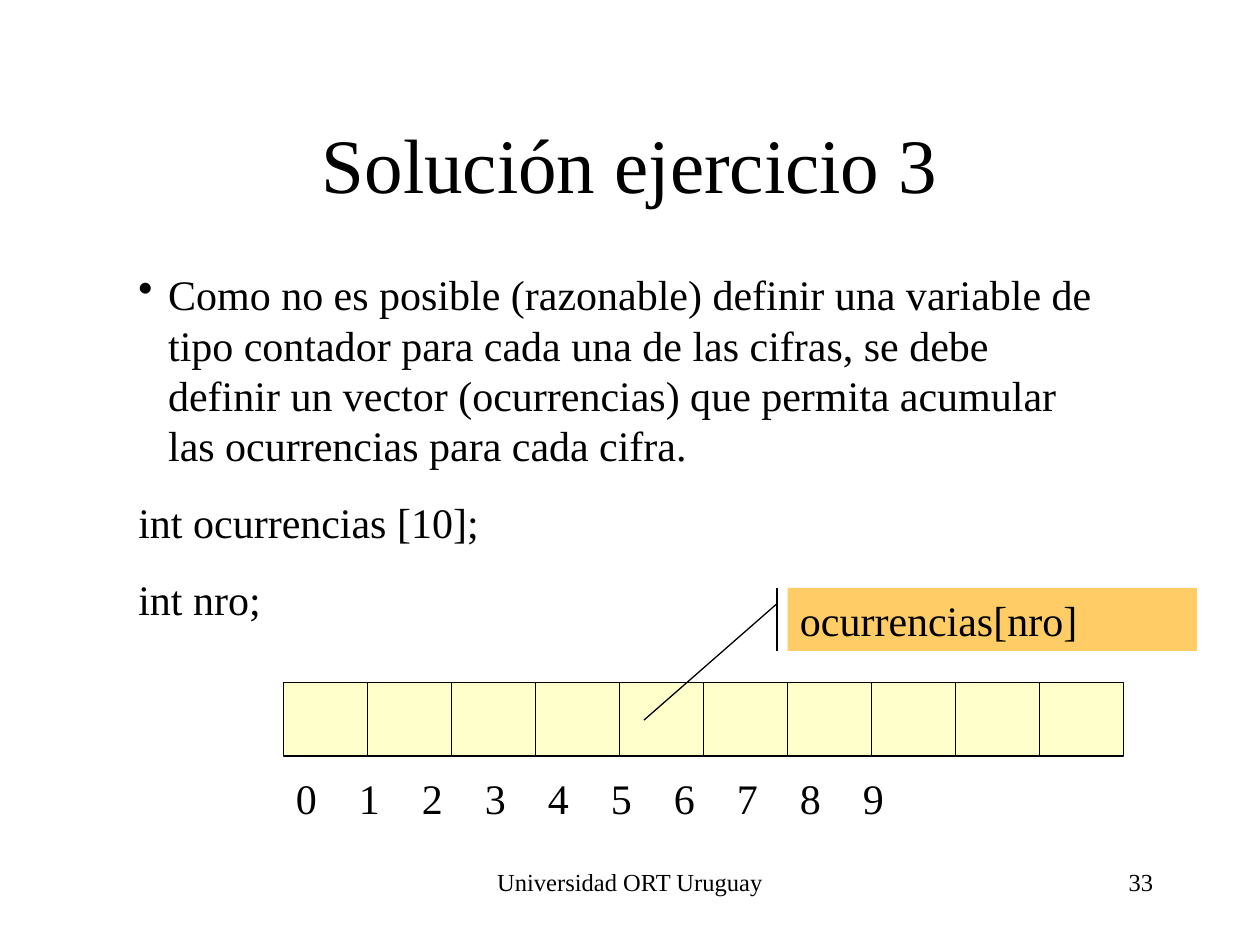
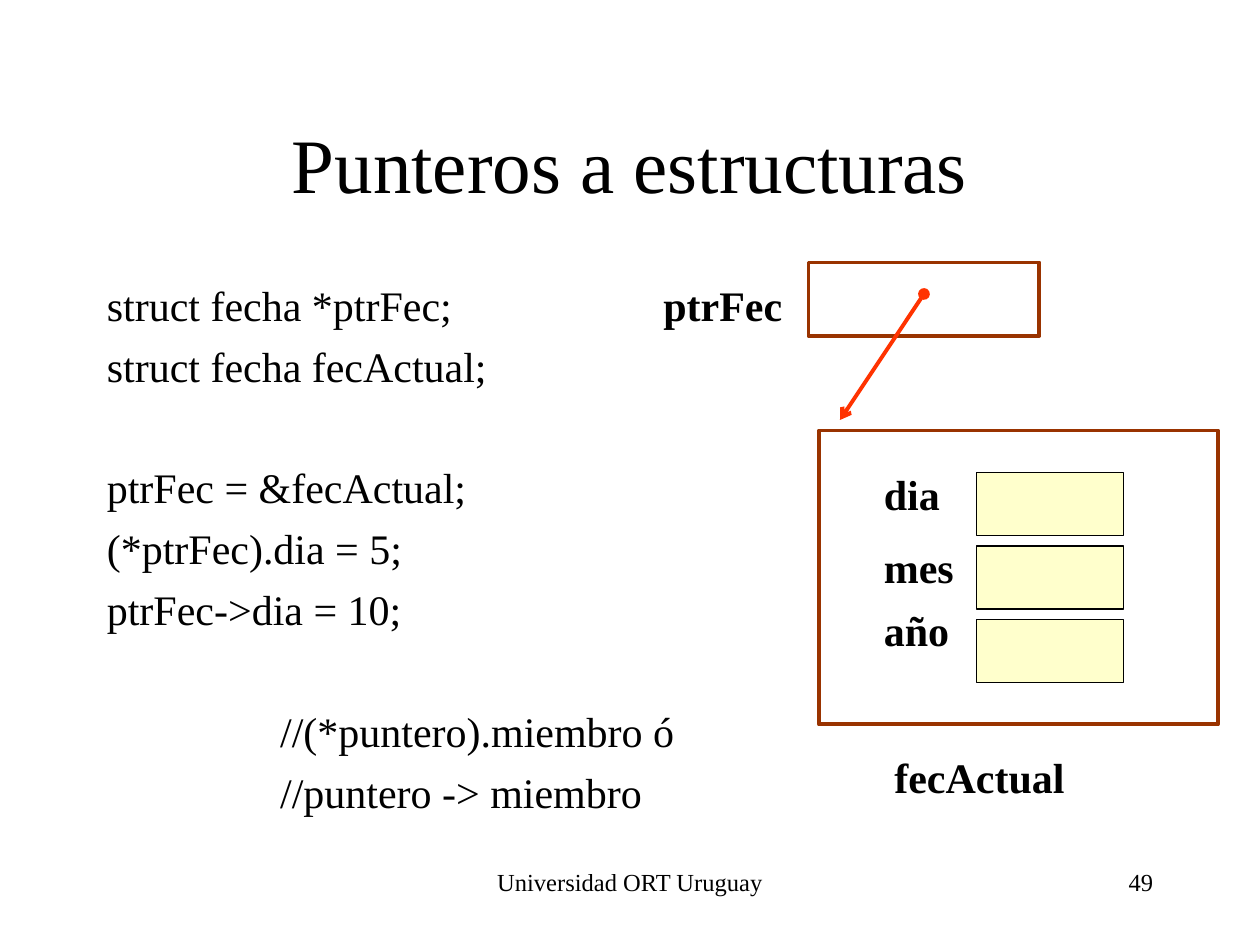
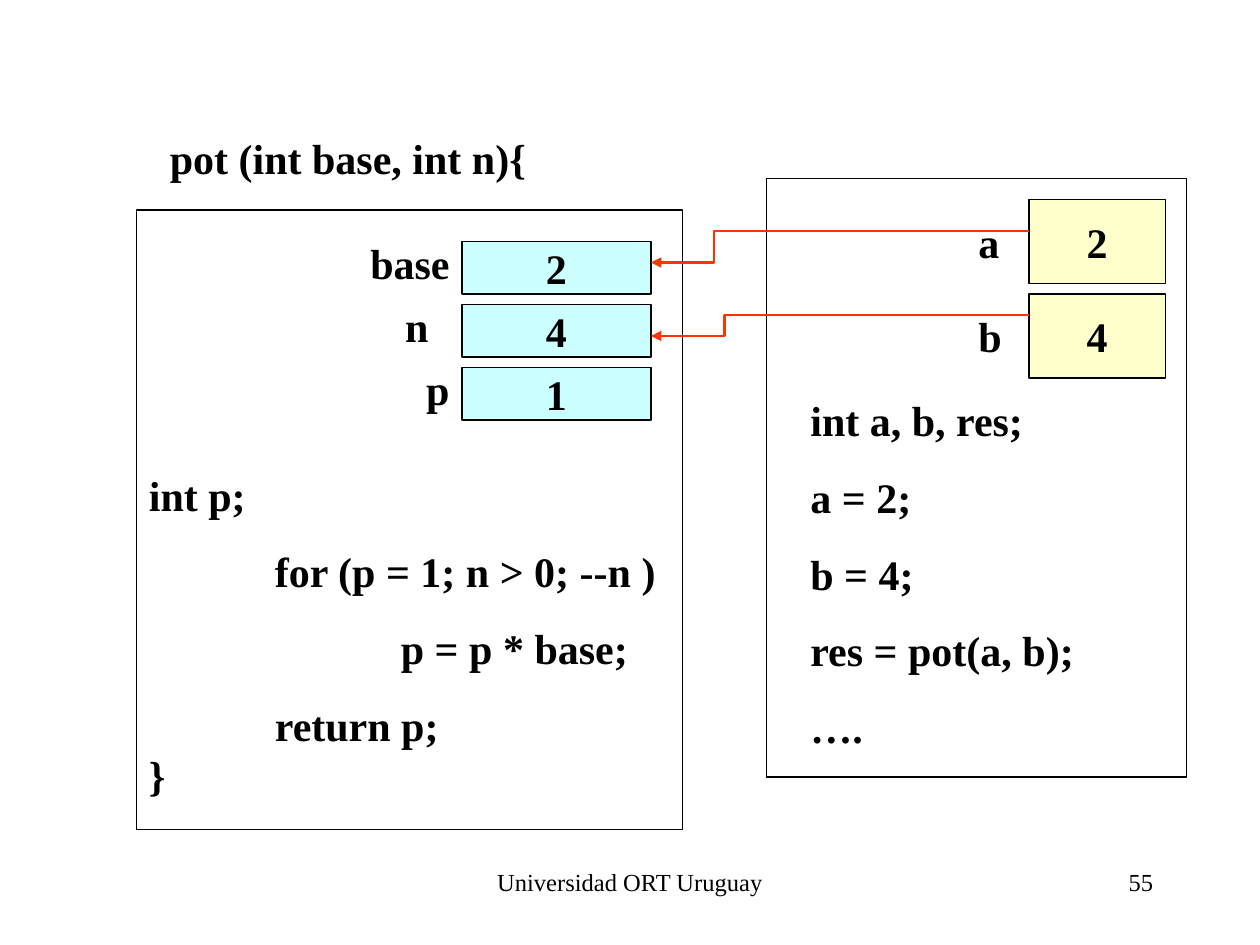
from dataclasses import dataclass

from pptx import Presentation
from pptx.dml.color import RGBColor
from pptx.enum.shapes import MSO_CONNECTOR, MSO_SHAPE
from pptx.enum.text import MSO_ANCHOR, PP_ALIGN
from pptx.oxml.ns import qn
from pptx.util import Pt

RECT, STRAIGHT = MSO_SHAPE.RECTANGLE, MSO_CONNECTOR.STRAIGHT
LEFT, CENTER, RIGHT = PP_ALIGN.LEFT, PP_ALIGN.CENTER, PP_ALIGN.RIGHT
TOP, MIDDLE = MSO_ANCHOR.TOP, MSO_ANCHOR.MIDDLE

COLORS = {
    "text": "000000",
    "cell": "FFFFCC",
    "param": "CCFFFF",
    "callout": "FFCC66",
    "frame": "993300",
    "pointer": "FF3300",
}
FONT = "Times New Roman"
LEADING = 1.2  # line height relative to the font size
INSETS = {
    "margin_left": Pt(7.2),
    "margin_right": Pt(7.2),
    "margin_top": Pt(3.6),
    "margin_bottom": Pt(3.6),
}


@dataclass
class Para:
    text: str
    before: float = 0
    indent: float = 0
    bullet: str = ""
    stops: tuple[float, ...] = ()


@dataclass
class Label:
    x: float
    y: float
    w: float
    h: float
    paras: list[Para]
    size: float = 24
    bold: bool = False
    align: PP_ALIGN = LEFT
    anchor: MSO_ANCHOR = TOP


@dataclass
class Box:
    x: float
    y: float
    w: float
    h: float
    fill: str = ""
    line: str = "text"
    weight: float = 0.75
    text: str = ""


def apply(target, values: dict) -> None:
    for name, value in values.items():
        setattr(target, name, value)


def rgb(name: str) -> RGBColor:
    return RGBColor.from_string(COLORS[name])


def bounds(item: Label | Box) -> list[Pt]:
    return [Pt(v) for v in (item.x, item.y, item.w, item.h)]


def set_line(line, color: str, weight: float) -> None:
    line.color.rgb = rgb(color)
    line.width = Pt(weight)


def set_arrow_ends(line, **ends: str) -> None:
    ln = line._ln
    for tag, kind in ends.items():
        ln.append(ln.makeelement(qn(f"a:{tag}"), {"type": kind}))


def fill_text(tf, label: Label) -> None:
    apply(tf, {**INSETS, "word_wrap": True, "vertical_anchor": label.anchor})
    for i, para in enumerate(label.paras):
        p = tf.paragraphs[0] if i == 0 else tf.add_paragraph()
        pPr = p._p.get_or_add_pPr()
        pPr.set("marL", str(Pt(para.indent)))
        pPr.set("indent", str(-Pt(para.indent) if para.bullet else 0))
        if para.bullet:
            pPr.append(pPr.makeelement(qn("a:buChar"), {"char": para.bullet}))
        else:
            pPr.append(pPr.makeelement(qn("a:buNone"), {}))
        if para.stops:
            tabs = pPr.makeelement(qn("a:tabLst"), {})
            for stop in para.stops:
                tabs.append(tabs.makeelement(
                    qn("a:tab"), {"pos": str(Pt(stop)), "algn": "l"}))
            pPr.append(tabs)
        apply(p, {
            "alignment": label.align,
            "line_spacing": Pt(label.size * LEADING),
            "space_before": Pt(para.before),
        })
        r = p.add_run()
        r.text = para.text
        apply(r.font, {"name": FONT, "size": Pt(label.size), "bold": label.bold})
        r.font.color.rgb = rgb("text")


def draw_label(s, label: Label) -> None:
    fill_text(s.shapes.add_textbox(*bounds(label)).text_frame, label)


def draw_box(s, box: Box) -> None:
    sp = s.shapes.add_shape(RECT, *bounds(box))
    sp.shadow.inherit = False
    if box.fill:
        sp.fill.solid()
        sp.fill.fore_color.rgb = rgb(box.fill)
    else:
        sp.fill.background()
    if box.line:
        set_line(sp.line, box.line, box.weight)
    else:
        sp.line.fill.background()
    if box.text:
        fill_text(sp.text_frame, Label(
            box.x, box.y, box.w, box.h, [Para(box.text)],
            bold=bool(box.line), align=CENTER if box.line else LEFT,
            anchor=MIDDLE if box.line else TOP))


def draw_line(s, start: tuple, end: tuple, color: str = "text", weight: float = 0.75):
    cxn = s.shapes.add_connector(STRAIGHT, *[Pt(v) for v in start + end])
    set_line(cxn.line, color, weight)
    spPr = cxn._element.spPr
    spPr.append(spPr.makeelement(qn("a:effectLst"), {}))
    return cxn


def draw_elbow(s, points: list[tuple]) -> None:
    start, *rest = [(Pt(x), Pt(y)) for x, y in points]
    builder = s.shapes.build_freeform(*start)
    builder.add_line_segments(rest, close=False)
    sp = builder.convert_to_shape()
    sp.shadow.inherit = False
    sp.fill.background()
    set_line(sp.line, "pointer", 1.5)
    set_arrow_ends(sp.line, tailEnd="triangle")


def bold_label(s, x: float, y: float, w: float, text: str, align: PP_ALIGN = LEFT) -> None:
    draw_label(s, Label(x, y, w, 36, [Para(text)], bold=True, align=align))


def add_slide(prs, number: int, title: str = ""):
    s = prs.slides.add_slide(prs.slide_layouts[6])
    draw_label(s, Label(246, 492, 228, 36, [Para("Universidad ORT Uruguay")],
                        size=14, align=CENTER))
    draw_label(s, Label(516, 492, 150, 36, [Para(str(number))], size=14, align=RIGHT))
    if title:
        draw_label(s, Label(54, 48, 612, 90, [Para(title)],
                            size=44, align=CENTER, anchor=MIDDLE))
    return s


def vector_slide(prs) -> None:
    s = add_slide(prs, 33, "Solución ejercicio 3")
    draw_label(s, Label(72, 150, 570, 210, [
        Para("Como no es posible (razonable) definir una variable de tipo contador "
             "para cada una de las cifras, se debe definir un vector (ocurrencias) "
             "que permita acumular las ocurrencias para cada cifra.",
             indent=17, bullet="•"),
        Para("int ocurrencias [10];", before=15),
        Para("int nro;", before=15),
    ]))

    # Vector cells and their indexes
    for i in range(10):
        draw_box(s, Box(162 + 48 * i, 390, 48, 42, "cell"))
    stops = (54, 102, 150, 198, 246, 294, 342, 384, 438)
    indexes = "\t".join(str(i) for i in range(10))
    draw_label(s, Label(162, 438, 480, 36, [Para(indexes, stops=stops)]))

    # Callout to one cell
    draw_box(s, Box(450, 336, 234, 36, "callout", line="", text="ocurrencias[nro]"))
    draw_line(s, (368, 411.5), (444, 345))
    draw_line(s, (444, 336), (444, 372))


def struct_slide(prs) -> None:
    s = add_slide(prs, 49, "Punteros a estructuras")
    gap, wide_gap = 6, 40.8
    draw_label(s, Label(54, 156, 612, 324, [
        Para("struct fecha *ptrFec;"),
        Para("struct fecha fecActual;", gap),
        Para("ptrFec = &fecActual;", wide_gap),
        Para("(*ptrFec).dia = 5;", gap),
        Para("ptrFec->dia = 10;", gap),
        Para("//(*puntero).miembro ó", wide_gap, indent=99),
        Para("//puntero -> miembro", gap, indent=99),
    ]))

    # Structure and its members
    for i, (member, y) in enumerate([("dia", 264), ("mes", 306), ("año", 342)]):
        bold_label(s, 498, y, 78, member)
        draw_box(s, Box(558, 270 + 42 * i, 84, 36, "cell"))
    draw_box(s, Box(468, 246, 228, 168, line="frame", weight=2.25))
    bold_label(s, 504, 426, 126, "fecActual")

    # Pointer
    bold_label(s, 372, 156, 84, "ptrFec")
    draw_box(s, Box(462, 150, 132, 42, line="frame", weight=2.25))
    arrow = draw_line(s, (528, 168), (480, 240), "pointer", 2.25)
    set_arrow_ends(arrow.line, headEnd="oval", tailEnd="arrow")


def call_slide(prs) -> None:
    s = add_slide(prs, 55)

    # Called function
    bold_label(s, 90, 72, 246, "pot (int base, int n){")
    draw_box(s, Box(78, 120, 312, 354))
    draw_label(s, Label(78, 264.6, 312, 210, [
        Para("int p;"),
        Para("for (p = 1; n > 0; --n )", 15, indent=72),
        Para("p = p * base;", 15, indent=144),
        Para("return p;", 15, indent=72),
        Para("}"),
    ], bold=True))
    params = [("base", "2", 264), ("n", "4", 252), ("p", "1", 264)]
    for i, (name, value, right) in enumerate(params):
        draw_box(s, Box(264, 138 + 36 * i, 108, 30, "param", text=value))
        bold_label(s, right - 66, 132 + 36 * i, 66, name, RIGHT)

    # Calling code
    draw_box(s, Box(438, 102, 240, 342))
    lines = ["int a, b, res;", "a = 2;", "b = 4;", "res = pot(a, b);", "…."]
    draw_label(s, Label(456, 222, 174, 212, [
        Para(line, 15 if i else 0) for i, line in enumerate(lines)
    ], bold=True))
    for i, (name, value) in enumerate([("a", "2"), ("b", "4")]):
        draw_box(s, Box(588, 114 + 54 * i, 78, 48, "cell", text=value))
        bold_label(s, 552, 120 + 54 * i, 30, name)

    # Values copied into the parameters
    for bend, y1, y2 in [(408, 132, 150), (414, 180, 192)]:
        draw_elbow(s, [(588, y1), (bend, y1), (bend, y2), (372, y2)])


def main() -> None:
    prs = Presentation()
    apply(prs, {"slide_width": Pt(720), "slide_height": Pt(540)})
    for build in (vector_slide, struct_slide, call_slide):
        build(prs)
    prs.save("out.pptx")


if __name__ == "__main__":
    main()
